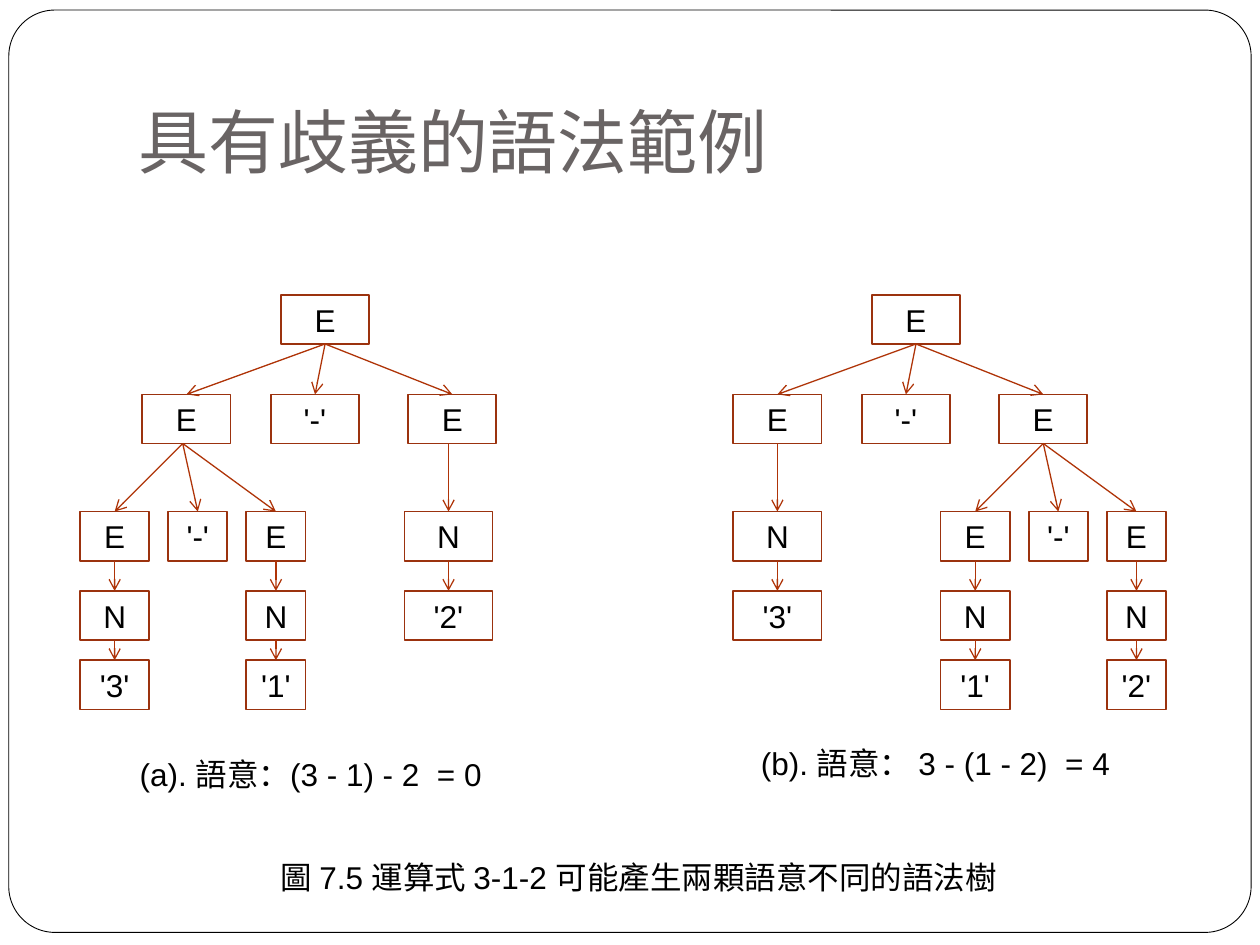
from dataclasses import dataclass

from lxml.etree import SubElement
from pptx import Presentation
from pptx.dml.color import RGBColor
from pptx.enum.shapes import MSO_CONNECTOR, MSO_SHAPE
from pptx.enum.text import MSO_ANCHOR, PP_ALIGN
from pptx.oxml.ns import qn
from pptx.util import Inches, Pt


@dataclass(frozen=True)
class Theme:
    title_font: str = "Lato"
    body_font: str = "Arial"
    title_size: int = 40
    body_size: int = 18
    paper: str = "FFFFFF"
    frame: str = "000000"
    title: str = "696464"
    text: str = "000000"
    box_line: str = "9B320E"
    arrow: str = "AF3408"


@dataclass(frozen=True)
class Node:
    """A tree node; dx is its offset from the axis its parent hangs it on."""
    label: str
    dx: float = 0
    width: float = 0.7
    children: tuple = ()


THEME = Theme()
ROW_TOPS = (2.34, 3.13, 4.06, 4.69, 5.24)
BOX_HEIGHT = 0.39
SUBTREE_ROW = 1


def rgb(value):
    return RGBColor.from_string(value)


def style_text(tf, size, color, font):
    for p in tf.paragraphs:
        for r in p.runs:
            r.font.size = Pt(size)
            r.font.name = font
            r.font.color.rgb = rgb(color)


def add_frame(slide):
    sp = slide.shapes.add_shape(MSO_SHAPE.ROUNDED_RECTANGLE, Inches(0.07),
                                Inches(0.08), Inches(9.86), Inches(7.32))
    sp.adjustments[0] = 0.05
    sp.shadow.inherit = False
    sp.fill.solid()
    sp.fill.fore_color.rgb = rgb(THEME.paper)
    sp.line.color.rgb = rgb(THEME.frame)
    sp.line.width = Pt(0.5)


def add_title(slide, text):
    tf = slide.shapes.add_textbox(Inches(1), Inches(0.3), Inches(8.5),
                                  Inches(1.25)).text_frame
    tf.word_wrap = True
    tf.vertical_anchor = MSO_ANCHOR.BOTTOM
    tf.margin_bottom = Inches(0.1)
    tf.text = text
    style_text(tf, THEME.title_size, THEME.title, THEME.title_font)


def add_caption(slide, text, left, top, width, wrap=False):
    tf = slide.shapes.add_textbox(Inches(left), Inches(top), Inches(width),
                                  Inches(0.4)).text_frame
    tf.word_wrap = wrap
    tf.text = text
    style_text(tf, THEME.body_size, THEME.text, THEME.body_font)


def add_box(slide, text, center, top, width):
    sp = slide.shapes.add_shape(MSO_SHAPE.RECTANGLE, Inches(center - width / 2),
                                Inches(top), Inches(width), Inches(BOX_HEIGHT))
    sp.shadow.inherit = False
    sp.fill.background()
    sp.line.color.rgb = rgb(THEME.box_line)
    sp.line.width = Pt(1)
    tf = sp.text_frame
    tf.vertical_anchor = MSO_ANCHOR.MIDDLE
    tf.text = text
    tf.paragraphs[0].alignment = PP_ALIGN.CENTER
    style_text(tf, THEME.body_size, THEME.text, THEME.body_font)


def add_arrow(slide, x1, y1, x2, y2):
    line = slide.shapes.add_connector(MSO_CONNECTOR.STRAIGHT, Inches(x1),
                                      Inches(y1), Inches(x2), Inches(y2))
    line.line.color.rgb = rgb(THEME.arrow)
    line.line.width = Pt(0.75)
    SubElement(line.line._get_or_add_ln(), qn("a:tailEnd"), type="arrow")
    SubElement(line._element.spPr, qn("a:effectLst"))


def add_tree(slide, node, axis, subtree_shift=0, row=0):
    """Draw a node and its descendants; subtree_shift moves the axis below row 1."""
    center = axis + node.dx
    add_box(slide, node.label, center, ROW_TOPS[row], node.width)
    child_axis = center + (subtree_shift if row == SUBTREE_ROW else 0)
    for child in node.children:
        add_arrow(slide, child_axis, ROW_TOPS[row] + BOX_HEIGHT,
                  child_axis + child.dx, ROW_TOPS[row + 1])
        add_tree(slide, child, child_axis, subtree_shift, row + 1)


def number(digit, width=0.7):
    return (Node("N", width=width, children=(Node(f"'{digit}'", width=width),)),)


def inner_difference(first, second):
    return (Node("E", -0.54, 0.55, number(first, 0.55)),
            Node("'-'", 0.12, 0.47),
            Node("E", 0.74, 0.47, number(second, 0.47)))


def difference(left, right):
    return Node("E", children=(Node("E", -1.1, children=left),
                               Node("'-'", -0.08),
                               Node("E", 1.01, children=right)))


def main():
    prs = Presentation()
    prs.slide_width, prs.slide_height = Inches(10), Inches(7.5)
    slide = prs.slides.add_slide(prs.slide_layouts[6])
    add_frame(slide)
    add_title(slide, "具有歧義的語法範例")
    add_tree(slide, difference(inner_difference(3, 1), number(2)), 2.58, -0.03)
    add_tree(slide, difference(number(3), inner_difference(1, 2)), 7.27)
    add_caption(slide, "(a). 語意：(3 - 1) - 2  = 0", 1.01, 5.94, 3.03)
    add_caption(slide, "(b). 語意： 3 - (1 - 2)  = 4", 5.94, 5.86, 3.1)
    add_caption(slide, "圖 7.5 運算式 3-1-2 可能產生兩顆語意不同的語法樹",
                2.13, 6.76, 6.33, wrap=True)
    prs.save("out.pptx")


if __name__ == "__main__":
    main()
